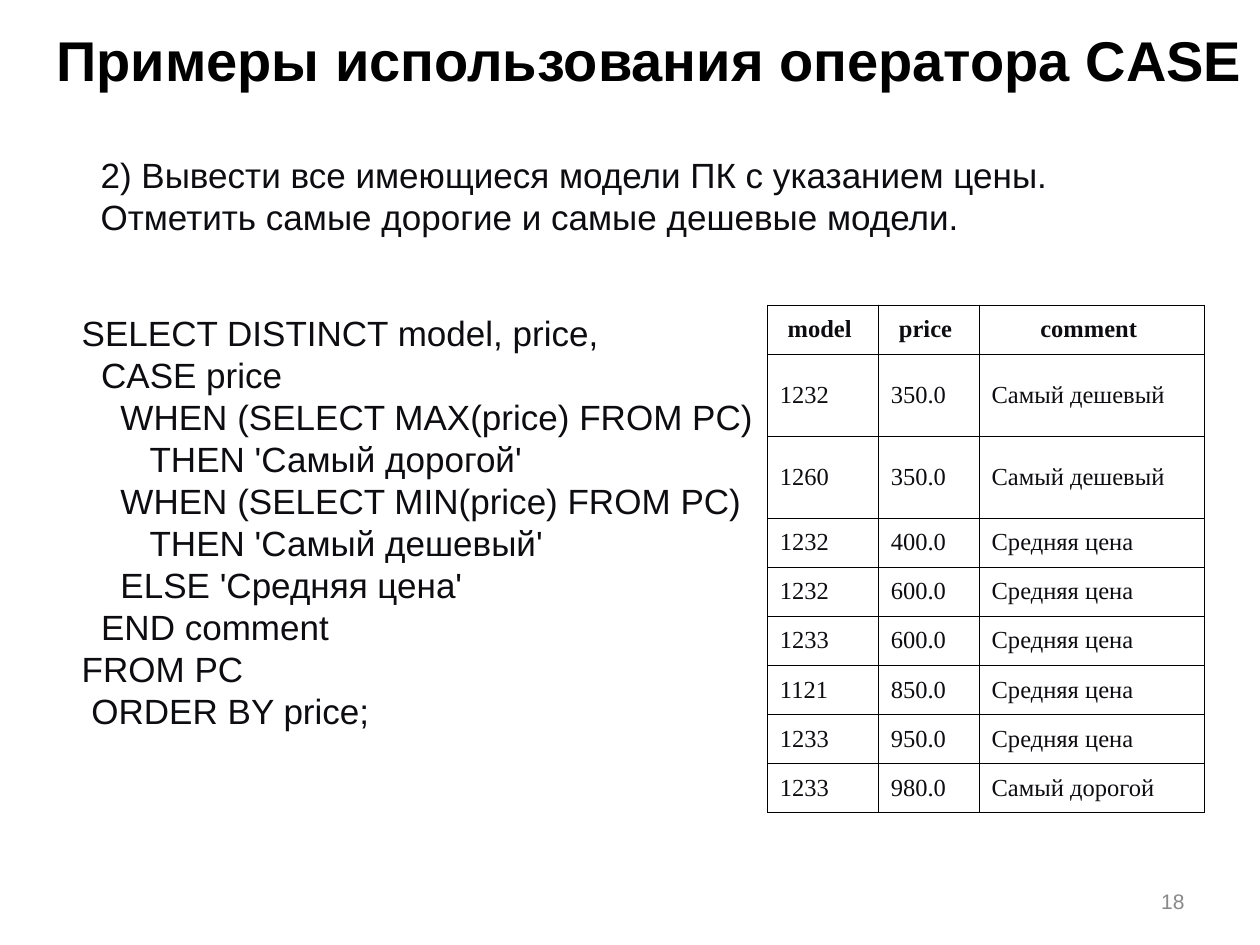
from lxml import etree
from pptx import Presentation
from pptx.dml.color import RGBColor
from pptx.enum import text
from pptx.oxml import ns
from pptx.util import Inches, Pt

BLACK = RGBColor(0x00, 0x00, 0x00)
INK = RGBColor(0x0D, 0x0D, 0x11)
GREY = RGBColor(0x89, 0x89, 0x89)
LEFT, CENTER, RIGHT = text.PP_ALIGN.LEFT, text.PP_ALIGN.CENTER, text.PP_ALIGN.RIGHT
TOP, MIDDLE = text.MSO_ANCHOR.TOP, text.MSO_ANCHOR.MIDDLE
INDENT_STEP = Inches(0.077)  # one 20 pt space

presentation = Presentation()
presentation.slide_width, presentation.slide_height = Inches(10), Inches(7.5)
slide = presentation.slides.add_slide(presentation.slide_layouts[6])


def write(frame, lines, size=20, font="Arial", color=INK, bold=False, align=LEFT):
    """Fill a text frame with (indent steps, wording) lines."""
    for index, (indent, wording) in enumerate(lines):
        paragraph = frame.paragraphs[0] if index == 0 else frame.add_paragraph()
        paragraph.alignment = align
        if indent:
            paragraph._p.get_or_add_pPr().set("marL", str(indent * INDENT_STEP))
        run = paragraph.add_run()
        run.text = wording
        run.font.size, run.font.name, run.font.bold = Pt(size), font, bold
        run.font.color.rgb = color


def add_text(left, top, width, height, lines, anchor=TOP, inset=0.1, **style):
    frame = slide.shapes.add_textbox(
        Inches(left), Inches(top), Inches(width), Inches(height)).text_frame
    frame.word_wrap = True
    frame.vertical_anchor = anchor
    frame.margin_left = frame.margin_right = Inches(inset)
    frame.margin_top = frame.margin_bottom = Inches(inset / 2)
    write(frame, lines, **style)


# Title and task
add_text(0.31, 0.08, 9.69, 0.78, [(0, "Примеры использования оператора CASE")],
         anchor=MIDDLE, inset=0, size=32, color=BLACK, bold=True, align=CENTER)
add_text(0.7, 1.17, 8.66, 0.77, [(0, "2) Вывести все имеющиеся модели ПК с указанием цены. "
                                     "Отметить самые дорогие и самые дешевые модели.")])

# Query result table
header = ["model ", "price ", "comment "]
results = [
    ("1232", "350.0", "Самый дешевый"),
    ("1260", "350.0", "Самый дешевый"),
    ("1232", "400.0", "Средняя цена"),
    ("1232", "600.0", "Средняя цена"),
    ("1233", "600.0", "Средняя цена"),
    ("1121", "850.0", "Средняя цена"),
    ("1233", "950.0", "Средняя цена"),
    ("1233", "980.0", "Самый дорогой"),
]
rows = [header, *results]
table = slide.shapes.add_table(len(rows), len(header), Inches(6.09), Inches(2.42),
                               Inches(3.47), Inches(4.01)).table
table.first_row = table.horz_banding = False
for column, width in zip(table.columns, (0.88, 0.8, 1.79)):
    column.width = Inches(width)
for row_index, values in enumerate(rows):
    is_header = row_index == 0
    table.rows[row_index].height = Inches(0.65 if row_index in (1, 2) else 0.39)
    for column_index, value in enumerate(values):
        cell = table.cell(row_index, column_index)
        cell.vertical_anchor = MIDDLE
        write(cell.text_frame, [(0, value)], size=14, font="Times New Roman",
              bold=is_header, align=CENTER if is_header else LEFT)
        # Borders come before the fill in the cell properties
        properties = cell._tc.get_or_add_tcPr()
        for side in ("a:lnL", "a:lnR", "a:lnT", "a:lnB"):
            line = etree.SubElement(properties, ns.qn(side), w=str(Pt(0.34)))
            fill = etree.SubElement(line, ns.qn("a:solidFill"))
            etree.SubElement(fill, ns.qn("a:srgbClr"), val=str(BLACK))
        cell.fill.background()

# SQL query
query = [
    (0, "SELECT DISTINCT model, price,"),
    (2, "CASE price"),
    (4, "WHEN (SELECT MAX(price) FROM PC)"),
    (7, "THEN 'Самый дорогой'"),
    (4, "WHEN (SELECT MIN(price) FROM PC)"),
    (7, "THEN 'Самый дешевый'"),
    (4, "ELSE 'Средняя цена'"),
    (2, "END comment"),
    (0, "FROM PC"),
    (1, "ORDER BY price;"),
]
add_text(0.55, 2.42, 5.55, 3.44, query)

# Slide number
add_text(7.17, 6.95, 2.33, 0.4, [(0, "18")], anchor=MIDDLE, size=12, color=GREY, align=RIGHT)

presentation.save("out.pptx")
